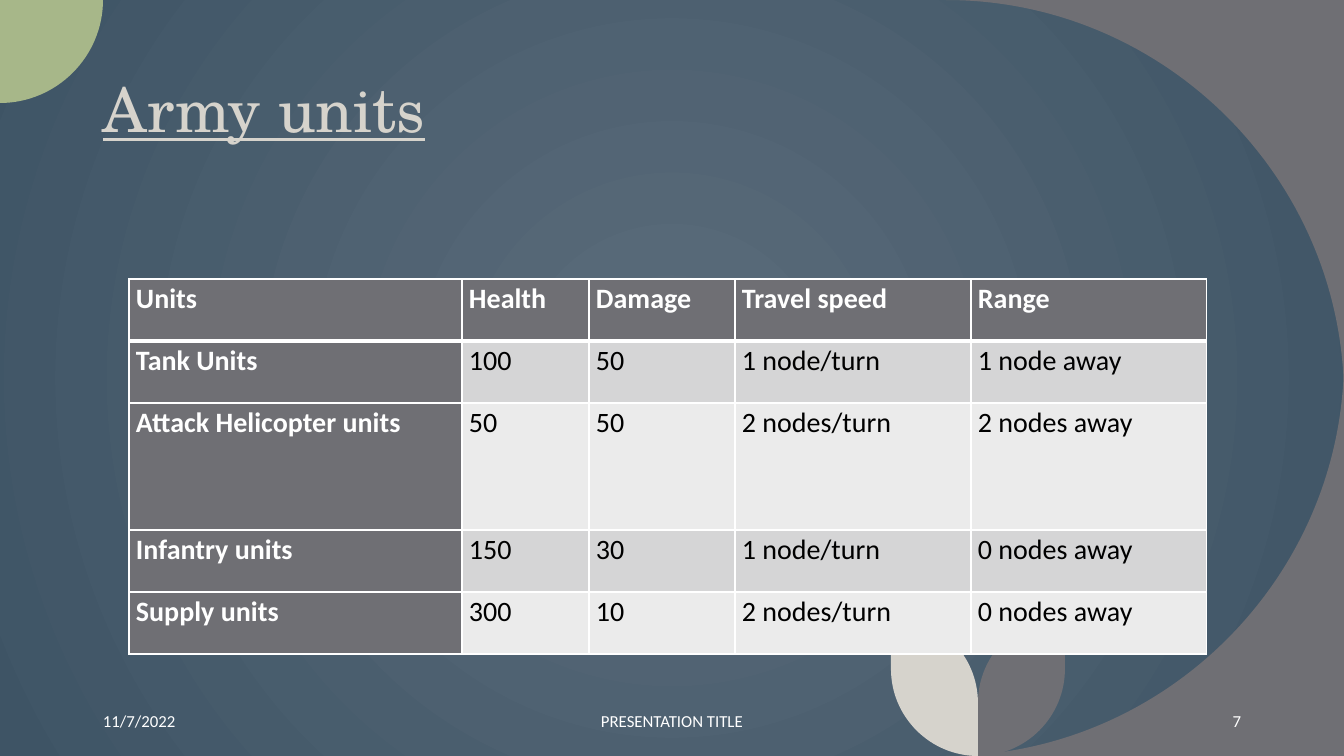
from dataclasses import dataclass
from itertools import chain
from math import cos, radians, sin

from lxml import etree
from pptx import Presentation
from pptx.dml.color import RGBColor
from pptx.enum.text import MSO_ANCHOR, PP_ALIGN
from pptx.oxml.ns import qn
from pptx.util import Pt

LEFT, CENTER, RIGHT = PP_ALIGN.LEFT, PP_ALIGN.CENTER, PP_ALIGN.RIGHT
MIDDLE = MSO_ANCHOR.MIDDLE
WIDTH, HEIGHT = 1344, 756
SCALE = 12192000 / WIDTH
ARC_HANDLE = 0.55
GRAY, GREEN, CREAM = "6F6F74", "A7B789", "D6D3CC"
WHITE, BLACK = "FFFFFF", "000000"
BANDS = ("D5D5D6", "EBEBEB")
BACKGROUND = ("5B6C7B", "3E5465")
SANS, SERIF = "Calibri", "TeX Gyre Schola"

Point = tuple[float, float]
Segment = list[Point]


@dataclass
class Corner:
    """A quarter arc closed by one corner point."""
    cx: int
    cy: int
    radius: int
    start: int
    tip: Point
    color: str


@dataclass
class Label:
    """A single line of text in a box."""
    text: str
    x: int
    y: int
    w: int
    h: int
    size: int = 12
    font: str = SANS
    color: str = WHITE
    align: PP_ALIGN = LEFT
    underline: bool = False
    spacing: float = 1.0


CORNERS = [
    Corner(946, 398, 398, -90, (WIDTH, 0), GRAY),
    Corner(946, 358, 398, 0, (WIDTH, HEIGHT), GRAY),
    Corner(0, 0, 103, 0, (0, 0), GREEN),
]
STEM, LEAF_WIDTH, LEAF_TOP = 978, 87, 616
LABELS = [
    Label("Army units", 93, 40, 1159, 146, 44, SERIF, CREAM,
          underline=True, spacing=0.9),
    Label("11/7/2022", 93, 701, 302, 40),
    Label("PRESENTATION TITLE", 445, 701, 454, 40, align=CENTER),
    Label("7", 949, 701, 302, 40, align=RIGHT),
]
COLUMNS = [333, 127, 146, 236, 236]
ROWS = [62, 62, 127, 62, 62]
UNITS = [
    ("Units", "Health", "Damage", "Travel speed", "Range"),
    ("Tank Units", "100", "50", "1 node/turn", "1 node away"),
    ("Attack Helicopter units", "50", "50", "2 nodes/turn", "2 nodes away"),
    ("Infantry units", "150", "30", "1 node/turn", "0 nodes away"),
    ("Supply units", "300", "10", "2 nodes/turn", "0 nodes away"),
]


def px(value: float) -> int:
    """Turn px into EMU."""
    return round(value * SCALE)


def rgb(color: str) -> RGBColor:
    """Turn a hex string into a colour."""
    return RGBColor.from_string(color)


def arc(cx: int, cy: int, radius: int, start: int) -> list[Segment]:
    """Return a line to a clockwise quarter arc, then the arc as a curve."""
    c, n = radius * cos(radians(start)), radius * sin(radians(start))
    k = ARC_HANDLE
    return [[(cx + c, cy + n)],
            [(cx + c - k * n, cy + n + k * c),
             (cx - n + k * c, cy + c + k * n),
             (cx - n, cy + c)]]


def add_outline(s, start: Point, segments: list[Segment], color: str) -> None:
    """Draw a filled outline of lines (one point) and curves (three)."""
    builder = s.shapes.build_freeform(px(start[0]), px(start[1]), scale=1.0)
    builder.add_line_segments(
        [(px(x), px(y)) for x, y in chain(*segments)], close=True)
    sp = builder.convert_to_shape()
    sp.shadow.inherit = False
    sp.fill.solid()
    sp.fill.fore_color.rgb = rgb(color)
    sp.line.fill.background()
    lines = iter(list(sp.element.iter(qn("a:lnTo"))))
    for segment in segments:
        steps = [next(lines) for _ in segment]
        if len(steps) == 3:
            curve = etree.Element(qn("a:cubicBezTo"))
            steps[0].addprevious(curve)
            for step in steps:
                curve.append(step[0])
                step.getparent().remove(step)


def add_leaves(s) -> None:
    """Draw two mirrored leaves that meet at the stem."""
    edge = STEM + LEAF_WIDTH
    leaf = (arc(STEM, HEIGHT - LEAF_WIDTH, LEAF_WIDTH, 0)
            + arc(edge, LEAF_TOP + LEAF_WIDTH, LEAF_WIDTH, 180))
    mirrored = [[(2 * STEM - x, y) for x, y in segment] for segment in leaf]
    add_outline(s, (edge, LEAF_TOP), leaf, GRAY)
    add_outline(s, (STEM - LEAF_WIDTH, LEAF_TOP), mirrored, CREAM)


def add_run(p, text: str, size: int, font: str, color: str):
    """Add a formatted run to a paragraph."""
    r = p.add_run()
    r.text = text
    r.font.size = Pt(size)
    r.font.name = font
    r.font.color.rgb = rgb(color)
    return r


def add_label(s, label: Label) -> None:
    """Draw a label as a text box."""
    box = s.shapes.add_textbox(px(label.x), px(label.y),
                               px(label.w), px(label.h))
    tf = box.text_frame
    tf.word_wrap = True
    tf.vertical_anchor = MIDDLE
    p = tf.paragraphs[0]
    p.alignment = label.align
    p.line_spacing = label.spacing
    r = add_run(p, label.text, label.size, label.font, label.color)
    r.font.underline = label.underline


def add_borders(cell, top: int, bottom: int) -> None:
    """Give a cell white borders, with widths in points."""
    props = cell._tc.get_or_add_tcPr()
    widths = {"a:lnL": 1, "a:lnR": 1, "a:lnT": top, "a:lnB": bottom}
    for index, (tag, width) in enumerate(widths.items()):
        line = etree.Element(qn(tag), w=str(Pt(width)))
        fill = etree.SubElement(line, qn("a:solidFill"))
        etree.SubElement(fill, qn("a:srgbClr"), val=WHITE)
        props.insert(index, line)


def fill_cell(cell, text: str, row: int, col: int) -> None:
    """Fill one cell, with headings in the first row and column."""
    heading = row == 0 or col == 0
    cell.fill.solid()
    cell.fill.fore_color.rgb = rgb(GRAY if heading else BANDS[(row - 1) % 2])
    cell.margin_left = cell.margin_right = px(7)
    cell.margin_top = cell.margin_bottom = 0
    p = cell.text_frame.paragraphs[0]
    p.line_spacing = 1.07
    p.space_after = Pt(8)
    r = add_run(p, text, 20, SANS, WHITE if heading else BLACK)
    r.font.bold = heading
    add_borders(cell, 3 if row == 1 else 1, 3 if row == 0 else 1)


def add_units(s) -> None:
    """Draw the table of units."""
    table = s.shapes.add_table(len(ROWS), len(COLUMNS), px(129), px(279),
                               px(sum(COLUMNS)), px(sum(ROWS))).table
    for column, width in zip(table.columns, COLUMNS):
        column.width = px(width)
    for row, height in zip(table.rows, ROWS):
        row.height = px(height)
    for i, texts in enumerate(UNITS):
        for j, text in enumerate(texts):
            fill_cell(table.cell(i, j), text, i, j)


def paint_background(s) -> None:
    """Fill the background with a radial gradient."""
    fill = s.background.fill
    fill.gradient()
    for stop, color in zip(fill.gradient_stops, BACKGROUND):
        stop.color.rgb = rgb(color)
    grad = s.element.find(".//" + qn("a:gradFill"))
    radial = etree.Element(qn("a:path"), path="circle")
    etree.SubElement(radial, qn("a:fillToRect"), dict.fromkeys("ltrb", "100000"))
    grad.replace(grad.find(qn("a:lin")), radial)


def main() -> None:
    """Build the slide and save it."""
    prs = Presentation()
    prs.slide_width, prs.slide_height = px(WIDTH), px(HEIGHT)
    s = prs.slides.add_slide(prs.slide_layouts[6])
    paint_background(s)
    for c in CORNERS:
        add_outline(s, c.tip, arc(c.cx, c.cy, c.radius, c.start), c.color)
    add_leaves(s)
    add_units(s)
    for label in LABELS:
        add_label(s, label)
    prs.save("out.pptx")


if __name__ == "__main__":
    main()
